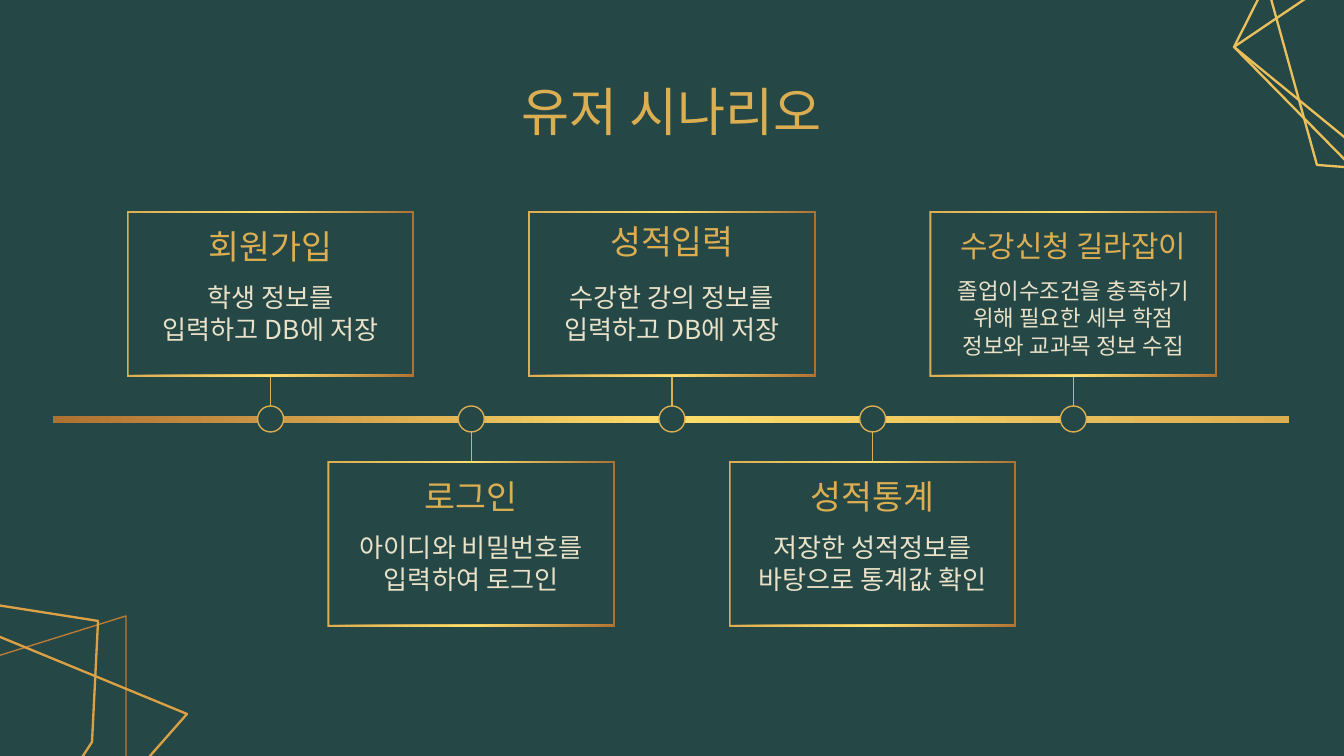
from copy import deepcopy
from pptx import Presentation
from pptx.dml.color import RGBColor
from pptx.enum.shapes import MSO_CONNECTOR, MSO_SHAPE
from pptx.enum.text import MSO_ANCHOR, MSO_AUTO_SIZE, PP_ALIGN
from pptx.oxml.ns import qn
from pptx.util import Emu, Pt

TITLE = "유저 시나리오"
CARDS = [
    dict(head="회원가입", body=["학생 정보를", "입력하고 DB에 저장"]),
    dict(head="로그인", body=["아이디와 비밀번호를 입력하여 로그인"]),
    dict(head="성적입력", body=["수강한 강의 정보를 입력하고 DB에 저장"], lift=5),
    dict(head="성적통계", body=["저장한 성적정보를 바탕으로 통계값 확인"]),
    dict(head="수강신청 길라잡이", size=16, small=12, rise=4,
         body=["졸업이수조건을 충족하기 위해 필요한 세부 학점 정보와 교과목 정보 수집"]),
]
COLORS = dict(back="254746", gold="DCAE52", light="FFDD6B", brown="AF7132",
              cream="E9E2C9", corner="EBC05A", amber="DCA045", rust="B97B36")
FONT = "Noto Sans CJK KR"
LINES = [
    ("rust", 0.75, [(-206, 1208), (-438, 792), (126, 616), (126, 864)]),
    ("corner", 1.25, [(1255, -59), (1400, -130), (1582, 30), (1625, 149),
                      (1554, 183), (1317, 165)]),
    ("corner", 1.25, [(1234, 47), (1288, -60), (1614, 28), (1636, 230), (1349, 164)]),
    ("corner", 1.25, [(1234, 47), (1490, -126), (1636, 230), (1474, 243)]),
    ("amber", 1.25, [(-450, 965), (-439, 716), (-93, 591), (98, 621),
                     (92, 742), (-105, 1046)]),
    ("amber", 1.25, [(-351, 1118), (-454, 969), (-97, 597), (187, 714), (-109, 1050)]),
]
WIDE, HIGH = 1344, 756
CARD_W, CARD_H, EDGE = 288, 166, 2
TOPS = (211, 461)
STEP = 200.7
BAR_Y, DOT = 419, 26
TEXT_W = 292


def px(n):
    return Emu(round(n * 914400 / 134.4))


def rgb(name):
    return RGBColor.from_string(COLORS[name])


def blend(shape, names):
    shape.shadow.inherit = False
    shape.line.fill.background()
    shape.fill.gradient()
    shape.fill.gradient_angle = 0
    stops = shape._element.spPr.find(".//" + qn("a:gsLst"))
    stops.append(deepcopy(stops[0]))
    for i, (stop, name) in enumerate(zip(shape.fill.gradient_stops, names)):
        stop.color.rgb = rgb(name)
        stop.position = i / 2


def write(box, text, size=14, color="cream", anchor=MSO_ANCHOR.TOP, space=None):
    frame = box.text_frame
    frame.word_wrap = True
    frame.auto_size = MSO_AUTO_SIZE.NONE
    frame.vertical_anchor = anchor
    frame.margin_left = frame.margin_right = px(13)
    frame.margin_top = frame.margin_bottom = px(13)
    for i, line in enumerate(text):
        para = frame.add_paragraph() if i else frame.paragraphs[0]
        para.alignment = PP_ALIGN.CENTER
        if space:
            para.line_spacing = Pt(space)
        run = para.add_run()
        run.text = line
        run.font.size = Pt(size)
        run.font.name = FONT
        run.font.color.rgb = rgb(color)
        east = run._r.get_or_add_rPr().makeelement(qn("a:ea"), {"typeface": FONT})
        run.font._element.find(qn("a:latin")).addnext(east)


def place(shapes, kind, x, y, w, h):
    return shapes.add_shape(kind, px(x), px(y), px(w), px(h))


def corner(shapes, color, width, points):
    path = shapes.build_freeform(*points[0], scale=914400 / 134.4)
    path.add_line_segments(points[1:], close=True)
    shape = path.convert_to_shape()
    shape.shadow.inherit = False
    shape.fill.background()
    shape.line.color.rgb = rgb(color)
    shape.line.width = Pt(width)


def step(shapes, i, card):
    mid = WIDE / 2 + (i - 2) * STEP
    low = i % 2
    top = TOPS[low]
    frame = place(shapes, MSO_SHAPE.FRAME, mid - CARD_W / 2, top, CARD_W, CARD_H)
    frame.adjustments[0] = EDGE / CARD_H
    blend(frame, ("gold", "light", "brown"))

    dot = place(shapes, MSO_SHAPE.OVAL, mid - DOT / 2, BAR_Y - DOT / 2, DOT, DOT)
    dot.shadow.inherit = False
    dot.fill.solid()
    dot.fill.fore_color.rgb = rgb("back")
    dot.line.color.rgb = rgb("gold")
    dot.line.width = Pt(0.75)

    near = top if low else top + CARD_H
    rim = BAR_Y + (DOT / 2 if low else -DOT / 2)
    stem = shapes.add_connector(MSO_CONNECTOR.STRAIGHT, px(mid), px(near), px(mid), px(rim))
    stem.begin_connect(frame, 0 if low else 2)
    if not low:
        stem.end_connect(dot, 0)
    stem.line.color.rgb = rgb("gold")
    stem.line.width = Pt(0.75)
    props = stem._element.spPr
    props.append(props.makeelement(qn("a:effectLst"), {}))

    left = mid - TEXT_W / 2
    head = shapes.add_textbox(px(left), px(top + 9 - card.get("lift", 0)), px(TEXT_W), px(52))
    write(head, [card["head"]], size=card.get("size", 18), color="gold",
          anchor=MSO_ANCHOR.MIDDLE)
    drop = 57 - card.get("rise", 0)
    body = shapes.add_textbox(px(left), px(top + drop), px(TEXT_W), px(CARD_H - drop))
    small = card.get("small", 14)
    write(body, card["body"], size=small, space=round(small * 1.22, 1))


def main():
    deck = Presentation()
    deck.slide_width, deck.slide_height = px(WIDE), px(HIGH)
    slide = deck.slides.add_slide(deck.slide_layouts[5])
    slide.background.fill.solid()
    slide.background.fill.fore_color.rgb = rgb("back")
    shapes = slide.shapes
    for line in LINES:
        corner(shapes, *line)
    title = shapes.title
    title.left, title.top, title.width, title.height = px(293), px(79), px(757), px(63)
    write(title, [TITLE], size=28, color="gold", anchor=MSO_ANCHOR.MIDDLE)
    bar = place(shapes, MSO_SHAPE.RECTANGLE, 53, 416, 1236, 7)
    blend(bar, ("brown", "light", "gold"))
    for i, card in enumerate(CARDS):
        step(shapes, i, card)
    deck.save("out.pptx")


if __name__ == "__main__":
    main()
